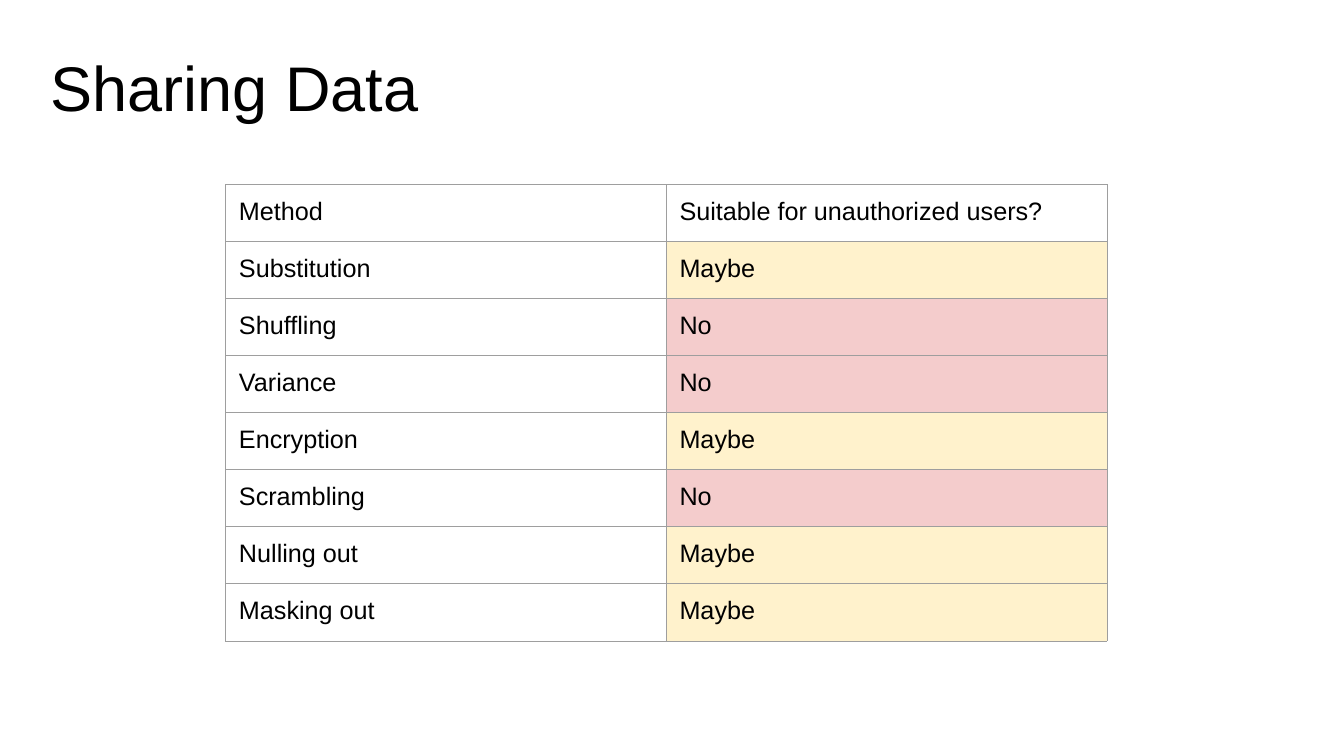
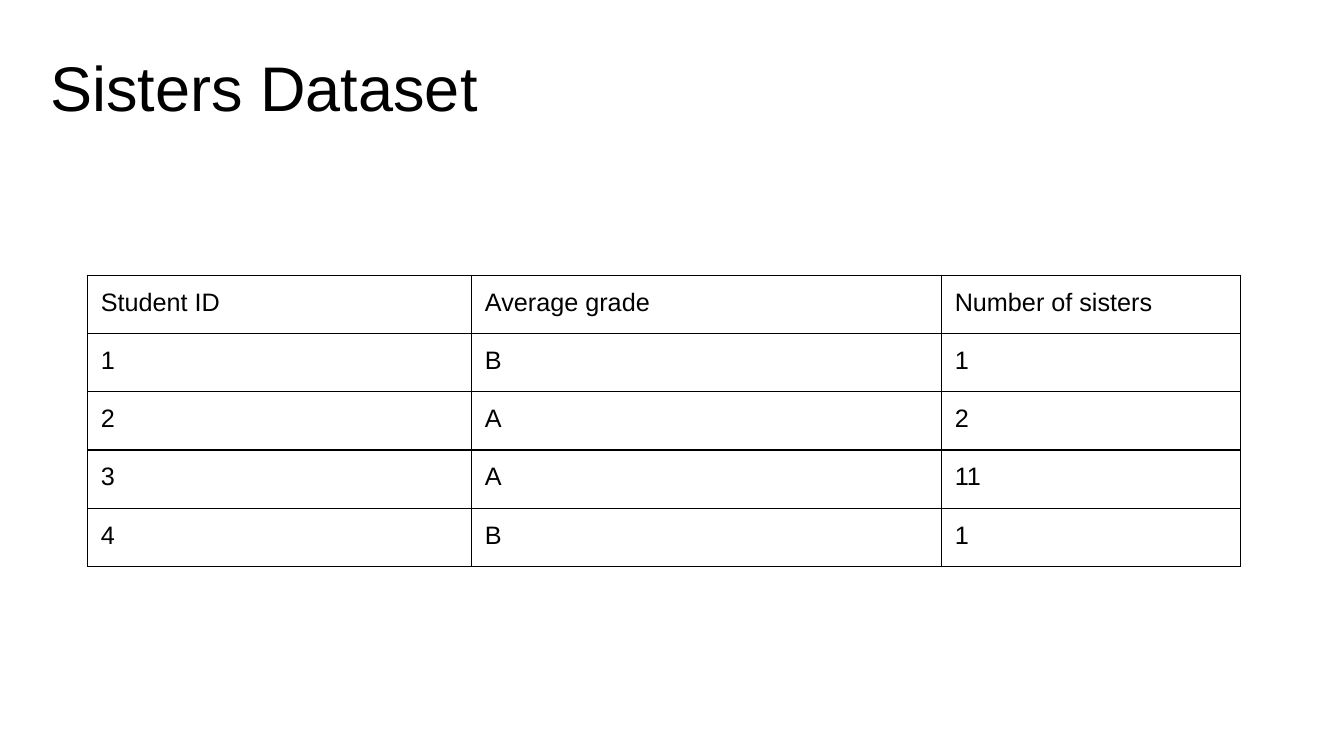
from pptx import Presentation
from pptx.dml.color import RGBColor
from pptx.enum.text import MSO_ANCHOR, MSO_AUTO_SIZE, PP_ALIGN
from pptx.oxml.ns import qn
from pptx.util import Inches, Pt
from lxml.etree import Element, SubElement

BLACK = RGBColor(0x00, 0x00, 0x00)
GRAY = RGBColor(0x9E, 0x9E, 0x9E)
YELLOW = RGBColor(0xFF, 0xF2, 0xCC)
RED = RGBColor(0xF4, 0xCC, 0xCC)
FONT = "Arial"
INSET = Inches(0.13)
TITLE_BOX = (0.37, 0.29, 12, 1.25)
ANSWER_FILLS = {"Maybe": YELLOW, "No": RED}

SHARING_ROWS = [
    ("Method", "Suitable for unauthorized users?"),
    ("Substitution", "Maybe"),
    ("Shuffling", "No"),
    ("Variance", "No"),
    ("Encryption", "Maybe"),
    ("Scrambling", "No"),
    ("Nulling out", "Maybe"),
    ("Masking out", "Maybe"),
]
SISTERS_ROWS = [
    ("Student ID", "Average grade", "Number of sisters"),
    ("1", "B", "1"),
    ("2", "A", "2"),
    ("3", "A", "11"),
    ("4", "B", "1"),
]


def add_text(paragraph, text, size):
    paragraph.alignment = PP_ALIGN.LEFT
    run = paragraph.add_run()
    run.text = text
    run.font.name = FONT
    run.font.size = Pt(size)
    run.font.color.rgb = BLACK


def set_borders(cell, color, width):
    properties = cell._tc.get_or_add_tcPr()
    for position, side in enumerate(("lnL", "lnR", "lnT", "lnB")):
        line = Element(qn(f"a:{side}"), w=str(Pt(width)))
        fill = SubElement(line, qn("a:solidFill"))
        SubElement(fill, qn("a:srgbClr"), val=str(color))
        properties.insert(position, line)


def add_titled_slide(presentation, text):
    slide = presentation.slides.add_slide(presentation.slide_layouts[5])
    title = slide.shapes.title
    title.left, title.top, title.width, title.height = map(Inches, TITLE_BOX)
    frame = title.text_frame
    frame.auto_size = MSO_AUTO_SIZE.NONE
    frame.word_wrap = True
    frame.vertical_anchor = MSO_ANCHOR.TOP
    frame.margin_left = frame.margin_right = frame.margin_bottom = INSET
    frame.margin_top = Inches(0.19)
    add_text(frame.paragraphs[0], text, 45)
    return slide


def add_grid(slide, box, rows, column_widths, border_color, border_width, fills):
    left, top, width, height = map(Inches, box)
    table = slide.shapes.add_table(
        len(rows), len(column_widths), left, top, width, height
    ).table
    table.first_row = table.horz_banding = False
    for column, column_width in zip(table.columns, column_widths):
        column.width = Inches(column_width)
    for row_index, row in enumerate(rows):
        for column_index, text in enumerate(row):
            cell = table.cell(row_index, column_index)
            cell.margin_left = cell.margin_right = INSET
            cell.margin_top = cell.margin_bottom = INSET
            cell.vertical_anchor = MSO_ANCHOR.TOP
            if text in fills:
                cell.fill.solid()
                cell.fill.fore_color.rgb = fills[text]
            else:
                cell.fill.background()
            set_borders(cell, border_color, border_width)
            add_text(cell.text_frame.paragraphs[0], text, 18)


def build_sharing_slide(presentation):
    slide = add_titled_slide(presentation, "Sharing Data")
    add_grid(slide, (2.24, 1.83, 8.74, 4.53), SHARING_ROWS,
             (4.37, 4.37), GRAY, 0.75, ANSWER_FILLS)


def build_sisters_slide(presentation):
    slide = add_titled_slide(presentation, "Sisters Dataset")
    add_grid(slide, (0.87, 2.73, 11.43, 2.89), SISTERS_ROWS,
             (3.81, 4.66, 2.96), BLACK, 1, {})


def main():
    presentation = Presentation()
    presentation.slide_width = Inches(13.33)
    presentation.slide_height = Inches(7.5)
    build_sharing_slide(presentation)
    build_sisters_slide(presentation)
    presentation.save("out.pptx")


if __name__ == "__main__":
    main()
